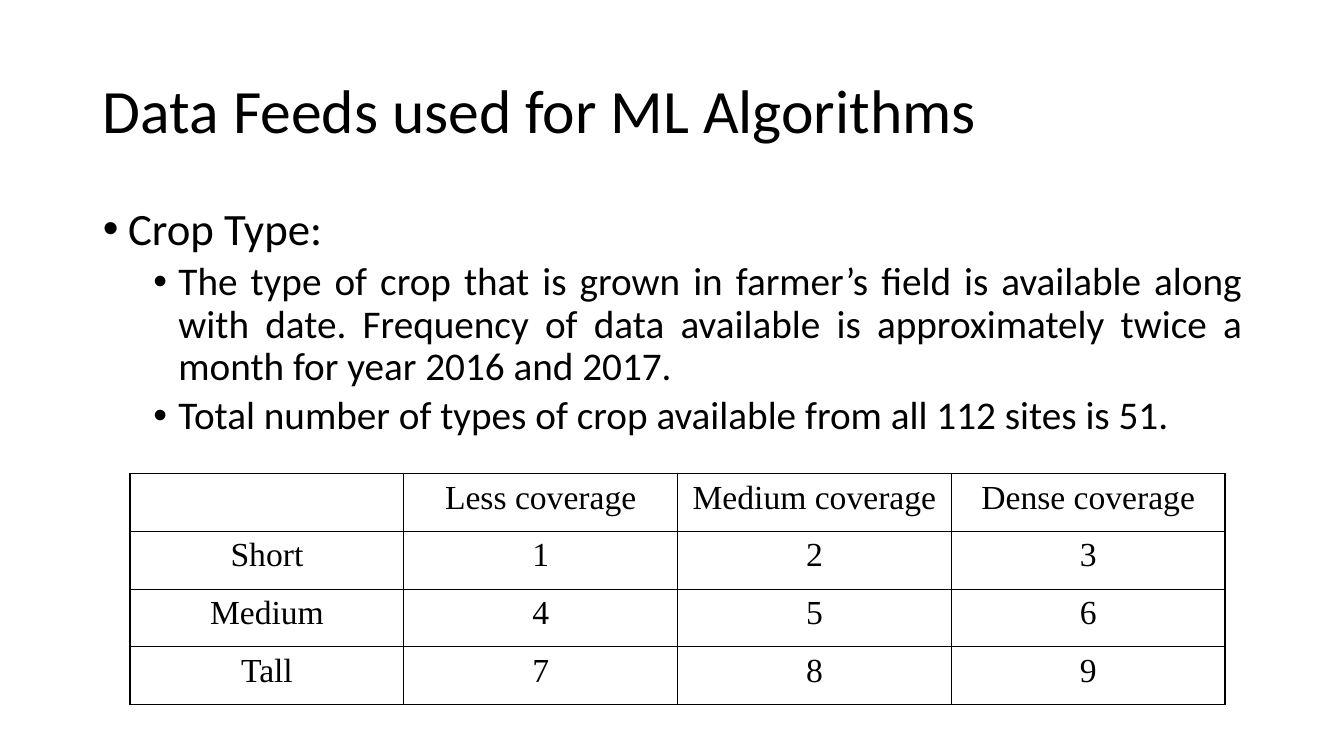
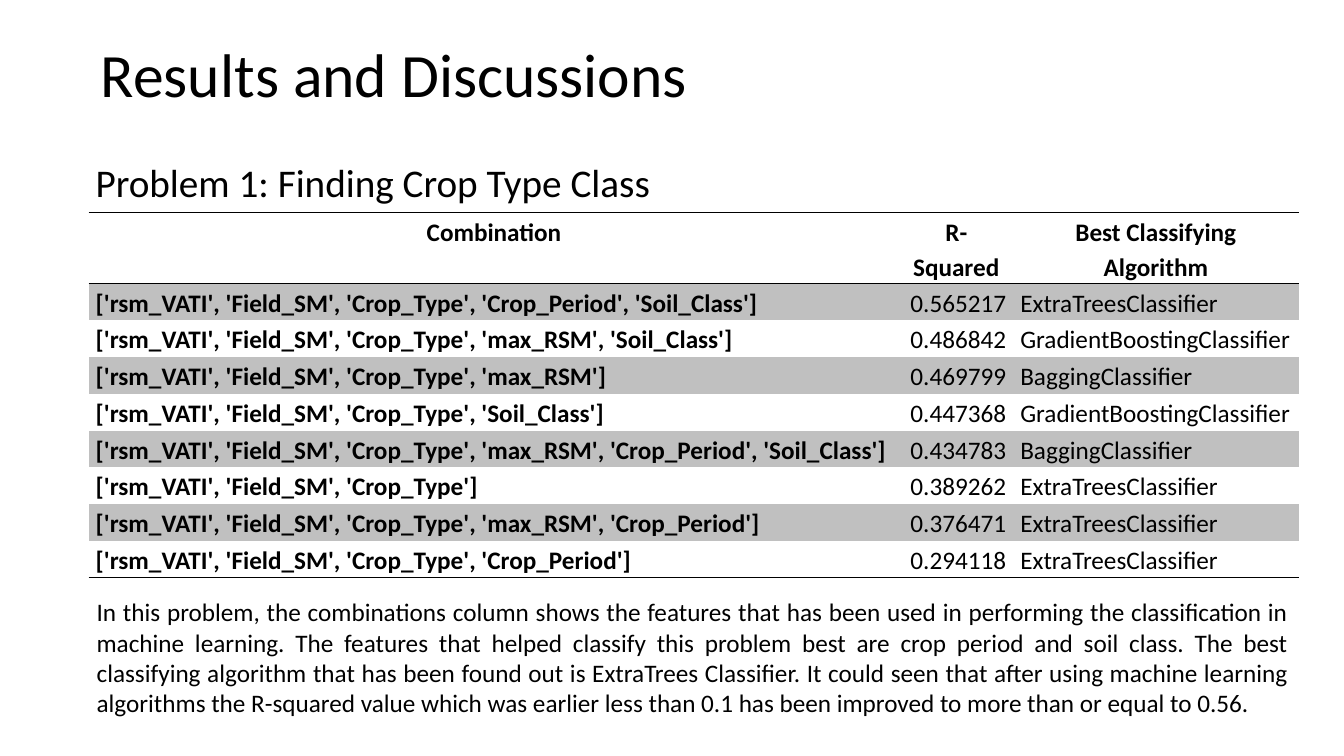
from lxml import etree
from pptx import Presentation
from pptx.dml.color import RGBColor
from pptx.enum.text import MSO_ANCHOR, MSO_AUTO_SIZE, PP_ALIGN
from pptx.oxml import ns
from pptx.util import Inches, Pt

BLACK = RGBColor(0x00, 0x00, 0x00)
BAND_GREY = RGBColor(0xC0, 0xC0, 0xC0)
BODY_FONT = "Calibri"
TABLE_FONT = "Times New Roman"


def write(para, text, size, align=PP_ALIGN.LEFT, spacing=1.0, name=BODY_FONT, bold=False):
    para.text = text
    para.alignment = align
    para.line_spacing = spacing
    para.font.size = Pt(size)
    para.font.name = name
    para.font.bold = bold
    para.font.color.rgb = BLACK


def style_cell(cell, ruled_sides, fill=None):
    """Set margins and fill, and rule only the given sides (letters of LRTB)."""
    cell.margin_left = cell.margin_right = Inches(0.07)
    cell.margin_top = cell.margin_bottom = 0
    cell_properties = cell._tc.get_or_add_tcPr()
    for side in "LRTB":
        line = etree.SubElement(cell_properties, ns.qn(f"a:ln{side}"), w=str(Pt(1)))
        if side in ruled_sides:
            line_fill = etree.SubElement(line, ns.qn("a:solidFill"))
            etree.SubElement(line_fill, ns.qn("a:srgbClr"), val=str(BLACK))
        else:
            etree.SubElement(line, ns.qn("a:noFill"))
    if fill is None:
        cell.fill.background()
    else:
        cell.fill.solid()
        cell.fill.fore_color.rgb = fill


deck = Presentation()
deck.slide_width = Inches(13.33)
deck.slide_height = Inches(7.5)

# Slides with their titles: text, layout index, left, top
TITLES = [
    ("Data Feeds used for ML Algorithms", 1, 0.92, 0.4),
    ("Results and Discussions", 5, 0.9, 0.04),
]
for text, layout, left, top in TITLES:
    slide = deck.slides.add_slide(deck.slide_layouts[layout])
    title = slide.shapes.title
    title.left, title.top = Inches(left), Inches(top)
    title.width, title.height = Inches(11.5), Inches(1.45)
    title.text_frame.vertical_anchor = MSO_ANCHOR.MIDDLE
    title.text_frame.auto_size = MSO_AUTO_SIZE.NONE
    write(title.text_frame.paragraphs[0], text, 44, spacing=0.9)
feeds_slide, results_slide = deck.slides

# Data feeds: bullet list
BULLETS = [
    (0, "Crop Type:"),
    (1, "The type of crop that is grown in farmer’s field is available along with date. "
        "Frequency of data available is approximately twice a month for year 2016 and 2017."),
    (1, "Total number of types of crop available from all 112 sites is 51."),
]
body = feeds_slide.placeholders[1]
body.left, body.top = Inches(0.92), Inches(2)
body.width, body.height = Inches(11.5), Inches(4.76)
frame = body.text_frame
frame.auto_size = MSO_AUTO_SIZE.NONE
for index, (level, text) in enumerate(BULLETS):
    para = frame.add_paragraph() if index else frame.paragraphs[0]
    para.level = level
    para.space_before = Pt(5 if level else 10)
    properties = para._p.get_or_add_pPr()
    properties.set("marL", str(Inches(0.25 + 0.5 * level)))
    properties.set("indent", str(Inches(-0.25)))
    etree.SubElement(properties, ns.qn("a:buFont"), typeface="Arial")
    etree.SubElement(properties, ns.qn("a:buChar"), char="•")
    write(para, text, 28 if level else 32, PP_ALIGN.JUSTIFY, 0.9)

# Data feeds: coverage classes
COVERAGE = [
    ("", "Less coverage", "Medium coverage", "Dense coverage"),
    ("Short", "1", "2", "3"),
    ("Medium", "4", "5", "6"),
    ("Tall", "7", "8", "9"),
]
coverage_table = feeds_slide.shapes.add_table(
    4, 4, Inches(1.29), Inches(4.7), Inches(10.86), Inches(2.29)).table
coverage_table.first_row = coverage_table.horz_banding = False
for row, values in enumerate(COVERAGE):
    for column, value in enumerate(values):
        cell = coverage_table.cell(row, column)
        style_cell(cell, "LRTB")
        if value:
            write(cell.text_frame.paragraphs[0], value, 24, PP_ALIGN.CENTER, 1.15, TABLE_FONT)

# Results: classifier scores
HEADINGS = ("Combination", "R-Squared", "Best Classifying Algorithm")
SCORES = [
    ("['rsm_VATI', 'Field_SM', 'Crop_Type', 'Crop_Period', 'Soil_Class']",
     "0.565217", "ExtraTreesClassifier"),
    ("['rsm_VATI', 'Field_SM', 'Crop_Type', 'max_RSM', 'Soil_Class']",
     "0.486842", "GradientBoostingClassifier"),
    ("['rsm_VATI', 'Field_SM', 'Crop_Type', 'max_RSM']",
     "0.469799", "BaggingClassifier"),
    ("['rsm_VATI', 'Field_SM', 'Crop_Type', 'Soil_Class']",
     "0.447368", "GradientBoostingClassifier"),
    ("['rsm_VATI', 'Field_SM', 'Crop_Type', 'max_RSM', 'Crop_Period', 'Soil_Class']",
     "0.434783", "BaggingClassifier"),
    ("['rsm_VATI', 'Field_SM', 'Crop_Type']",
     "0.389262", "ExtraTreesClassifier"),
    ("['rsm_VATI', 'Field_SM', 'Crop_Type', 'max_RSM', 'Crop_Period']",
     "0.376471", "ExtraTreesClassifier"),
    ("['rsm_VATI', 'Field_SM', 'Crop_Type', 'Crop_Period']",
     "0.294118", "ExtraTreesClassifier"),
]
COLUMN_ALIGNS = (PP_ALIGN.LEFT, PP_ALIGN.RIGHT, PP_ALIGN.LEFT)
TABLE_HEIGHT, HEADING_HEIGHT = Inches(3.62), Inches(0.7)
score_table = results_slide.shapes.add_table(
    len(SCORES) + 1, 3, Inches(0.88), Inches(2.11), Inches(12), TABLE_HEIGHT).table
score_table.first_row = score_table.horz_banding = False
for column, width in enumerate((8.04, 1.13, 2.83)):
    score_table.columns[column].width = Inches(width)
for row, values in enumerate([HEADINGS] + SCORES):
    is_heading = row == 0
    score_table.rows[row].height = (
        HEADING_HEIGHT if is_heading else (TABLE_HEIGHT - HEADING_HEIGHT) // len(SCORES))
    ruled_sides = {0: "TB", 1: "T", len(SCORES): "B"}.get(row, "")
    for column, value in enumerate(values):
        cell = score_table.cell(row, column)
        style_cell(cell, ruled_sides, BAND_GREY if row % 2 else None)
        align = PP_ALIGN.CENTER if is_heading else COLUMN_ALIGNS[column]
        write(cell.text_frame.paragraphs[0], value, 18, align, 1.15,
              bold=is_heading or column == 0)

# Results: heading above the table and discussion below it
NOTES = [
    ("Problem 1: Finding Crop Type Class", 28, 0.85, 1.52, 5.76, 0.57, False),
    ("In this problem, the combinations column shows the features that has been used in "
     "performing the classification in machine learning. The features that helped classify "
     "this problem best are crop period and soil class. The best classifying algorithm that "
     "has been found out is ExtraTrees Classifier. It could seen that after using machine "
     "learning algorithms the R-squared value which was earlier less than 0.1 has been "
     "improved to more than or equal to 0.56.", 18, 0.86, 5.87, 12.02, 1.31, True),
]
for text, size, left, top, width, height, wraps in NOTES:
    box = results_slide.shapes.add_textbox(
        Inches(left), Inches(top), Inches(width), Inches(height))
    box.text_frame.word_wrap = wraps
    box.text_frame.auto_size = MSO_AUTO_SIZE.SHAPE_TO_FIT_TEXT
    write(box.text_frame.paragraphs[0], text, size, PP_ALIGN.JUSTIFY)

deck.save("out.pptx")
